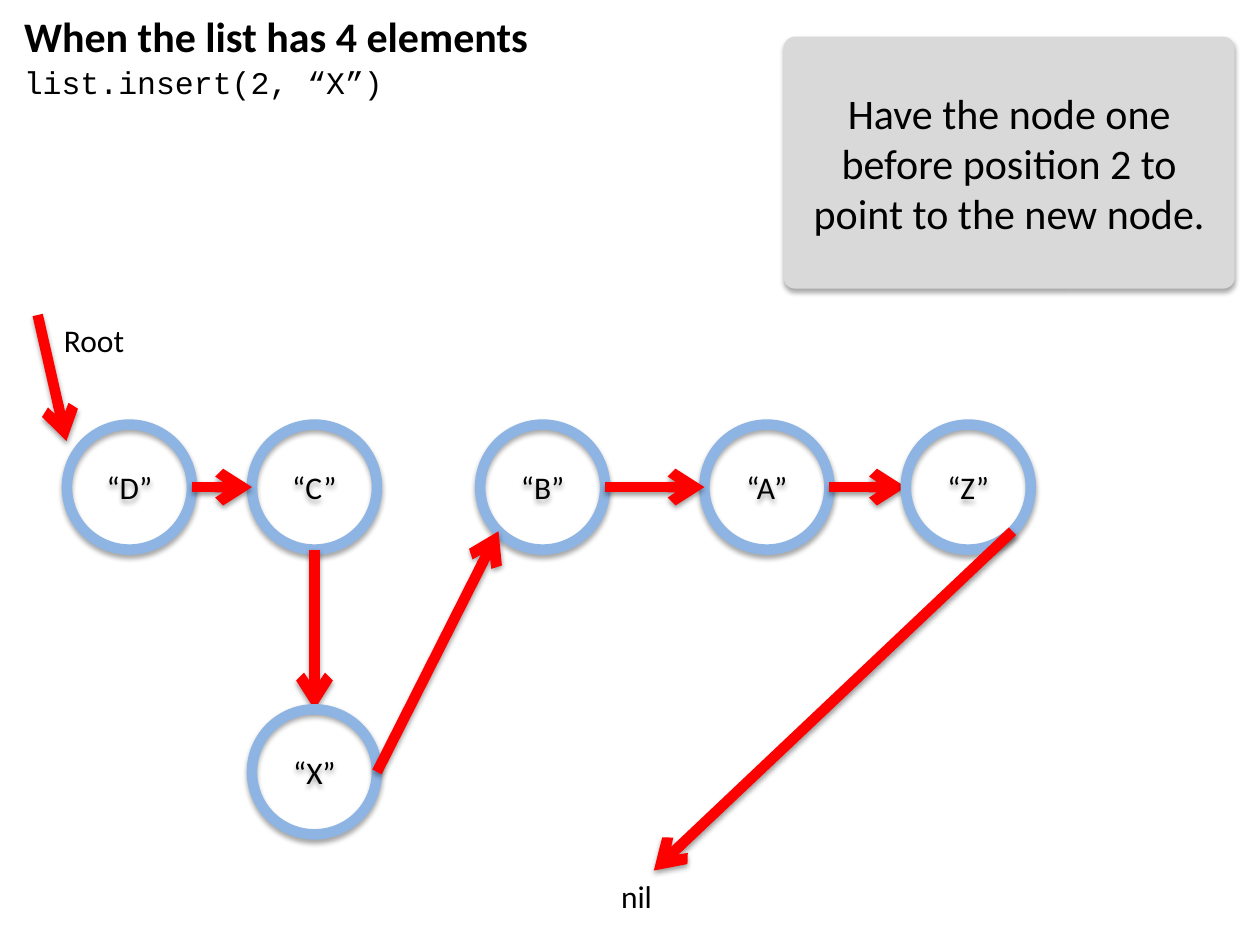
from math import sqrt

from lxml.etree import SubElement
from pptx import Presentation
from pptx.dml.color import RGBColor
from pptx.enum.shapes import MSO_CONNECTOR, MSO_SHAPE
from pptx.enum.text import MSO_ANCHOR, MSO_AUTO_SIZE, PP_ALIGN
from pptx.oxml.ns import qn
from pptx.util import Cm, Pt

COLORS = {"text": "000000", "panel": "D9D9D9", "ring": "8EB4E3",
          "arrow": "FF0000", "shadow": "000000"}
NODE = 2.52  # diameter in cm
ROW = 2.21   # top of the main row of nodes, within the diagram
SITES = {"right": (1, 0.5), "left": (0, 0.5), "top": (0.5, 0), "bottom": (0.5, 1),
         "lower left": (0.5 - sqrt(0.125), 0.5 + sqrt(0.125)),
         "lower right": (0.5 + sqrt(0.125), 0.5 + sqrt(0.125))}


def color(name):
    return RGBColor.from_string(COLORS[name])


def add_shadow(sp, distance, opacity):
    """Give a shape or connector a soft shadow straight below it."""
    effects = SubElement(sp._element.spPr, qn("a:effectLst"))
    shadow = SubElement(effects, qn("a:outerShdw"), blurRad=str(Pt(3.1)),
                        dist=str(Pt(distance)), dir="5400000", rotWithShape="0")
    clr = SubElement(shadow, qn("a:srgbClr"), val=COLORS["shadow"])
    SubElement(clr, qn("a:alpha"), val=str(opacity * 1000))


def set_text(sp, text, size, font="Calibri", bold=False, align=PP_ALIGN.LEFT,
             anchor=MSO_ANCHOR.TOP):
    tf = sp.text_frame
    tf.text = text
    tf.word_wrap = True
    tf.auto_size = MSO_AUTO_SIZE.NONE
    tf.vertical_anchor = anchor
    p = tf.paragraphs[0]
    p.alignment = align
    f = p.runs[0].font
    f.name, f.size, f.bold = font, Pt(size), bold
    f.color.rgb = color("text")


def add_label(s, text, x, y, w, **style):
    set_text(s.shapes.add_textbox(Cm(x), Cm(y), Cm(w), Cm(1.02)), text, 18, **style)


def add_arrow(s, start, end):
    line = s.shapes.add_connector(MSO_CONNECTOR.STRAIGHT,
                                  *(Cm(v) for v in (*start, *end)))
    line.line.color.rgb = color("arrow")
    line.line.width = Pt(6)
    SubElement(line.line._get_or_add_ln(), qn("a:tailEnd"), type="arrow")
    add_shadow(line, 1.6, 38)


def add_node(s, name, x, y):
    sp = s.shapes.add_shape(MSO_SHAPE.OVAL, Cm(x), Cm(y), Cm(NODE), Cm(NODE))
    sp.fill.background()
    sp.line.color.rgb = color("ring")
    sp.line.width = Pt(6)
    add_shadow(sp, 1.8, 35)
    set_text(sp, f"“{name}”", 18, align=PP_ALIGN.CENTER, anchor=MSO_ANCHOR.MIDDLE)


def add_heading(s, x, y, w):
    title = s.shapes.title
    title.left, title.top, title.width, title.height = Cm(x), Cm(y), Cm(11.28), Cm(1.27)
    set_text(title, "When the list has 4 elements", 24, bold=True)
    add_label(s, "list.insert(2, “X”)", x, y + 1.06, w, font="Courier New")


def add_panel(s, x, y, w, h):
    sp = s.shapes.add_shape(MSO_SHAPE.ROUNDED_RECTANGLE, Cm(x), Cm(y), Cm(w), Cm(h))
    sp.adjustments[0] = 0.045
    sp.fill.solid()
    sp.fill.fore_color.rgb = color("panel")
    sp.line.fill.background()
    add_shadow(sp, 1.8, 35)
    set_text(sp, "Have the node one before position 2 to point to the new node.",
             24, align=PP_ALIGN.CENTER, anchor=MSO_ANCHOR.MIDDLE)


def add_linked_list(s, x, y):
    """Draw the nodes, each followed by the arrow to its successor."""
    nodes = {"A": (13.44, ROW), "B": (8.92, ROW), "C": (4.32, ROW),
             "D": (0.59, ROW), "Z": (17.5, ROW), "X": (4.32, 7.95)}
    links = {"A": ("right", "Z", "left"), "B": ("right", "A", "left"),
             "C": ("bottom", "X", "top"), "D": ("right", "C", "left"),
             "X": ("right", "B", "lower left")}
    nil = (x + 12.42, y + 11.2)

    def site(name, side):
        return tuple(origin + offset + NODE * part for origin, offset, part
                     in zip((x, y), nodes[name], SITES[side]))

    add_label(s, "Root", x + 0.28, y, 2.13)
    add_arrow(s, (x, y), (x + 0.58, y + 2.54))
    add_label(s, "nil", x + 11.51, y + 11.2, 1.8)
    for name, (dx, dy) in nodes.items():
        add_node(s, name, x + dx, y + dy)
        if name in links:
            side, target, target_side = links[name]
            add_arrow(s, site(name, side), site(target, target_side))
        else:
            add_arrow(s, site(name, "lower right"), nil)


def main():
    prs = Presentation()
    prs.slide_width, prs.slide_height = Cm(25.4), Cm(19.05)
    s = prs.slides.add_slide(prs.slide_layouts[5])
    add_heading(s, 0.23, 0.08, 20.73)
    add_panel(s, 15.8, 0.74, 9.09, 5.08)
    add_linked_list(s, 0.76, 6.35)
    prs.save("out.pptx")


if __name__ == "__main__":
    main()
